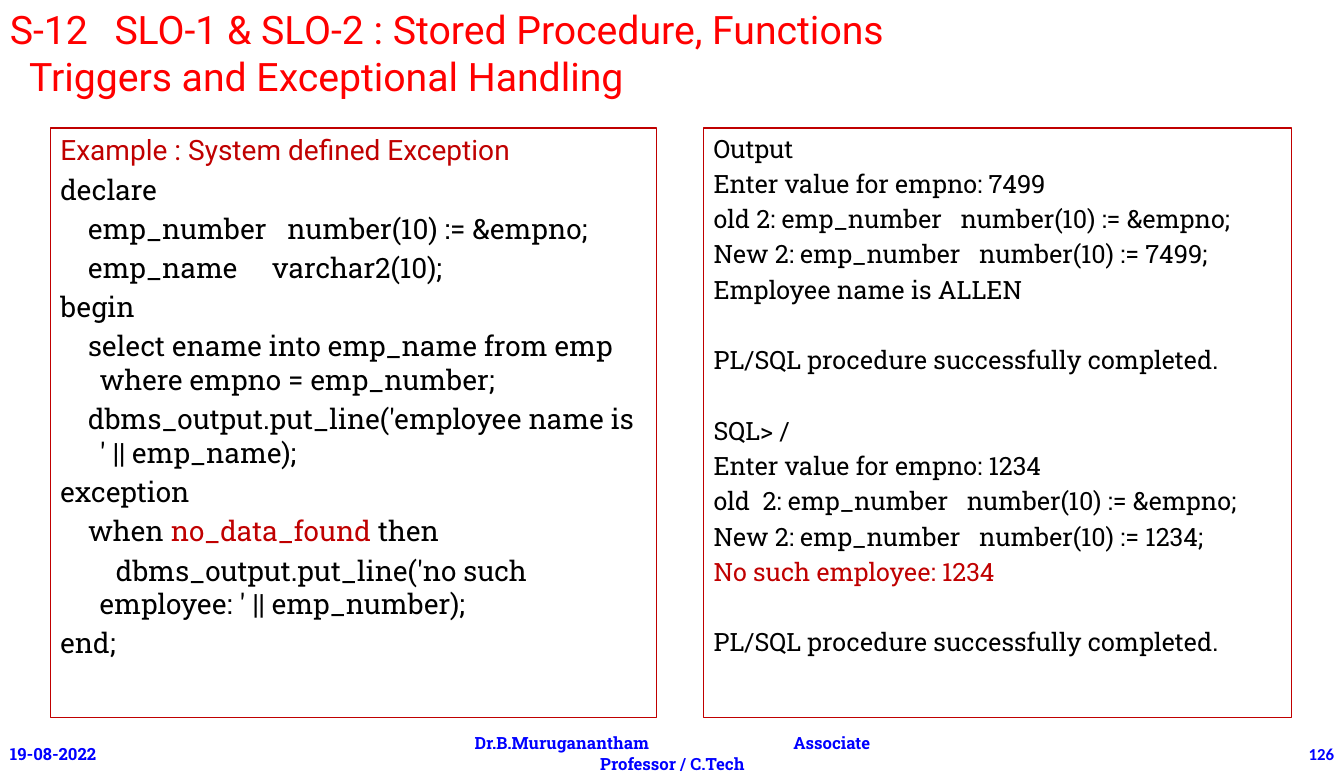
from pptx import Presentation
from pptx.dml.color import RGBColor as RGB
from pptx.enum.shapes import MSO_SHAPE as Shape
from pptx.enum.text import MSO_ANCHOR as Anchor, PP_ALIGN as Align
from pptx.util import Inches, Pt

RED = RGB(0xFF, 0, 0)
WINE = RGB(0xC0, 0, 0)
BLUE = RGB(0, 0, 0xFF)
BLACK = RGB(0, 0, 0)
WHITE = RGB(0xFF, 0xFF, 0xFF)
SANS, SLAB = "Roboto", "Roboto Slab"
WIDE, HIGH = 13.33, 7.68
TOP, TALL = 1.27, 5.85
FOOT = 0.41
HANG = 0.39

deck = Presentation()
deck.slide_width, deck.slide_height = Inches(WIDE), Inches(HIGH)
slide = deck.slides.add_slide(deck.slide_layouts[6])


def panel(left, top, width, height, edge=None, anchor=Anchor.TOP):
    box = slide.shapes.add_shape(Shape.RECTANGLE, *map(Inches, (left, top, width, height)))
    box.shadow.inherit = False
    if edge:
        box.fill.background()
        box.line.color.rgb, box.line.width = edge, Pt(0.75)
    else:
        box.fill.solid()
        box.fill.fore_color.rgb = WHITE
        box.line.fill.background()
    frame = box.text_frame
    frame.word_wrap, frame.vertical_anchor = True, anchor
    return frame


def write(text, frame, size=20, ink=BLACK, face=SLAB, bold=False,
          align=Align.LEFT, gap=0, left=0, hang=0, track=0, join=False):
    para = frame.paragraphs[-1]
    if not join:
        if para.runs:
            para = frame.add_paragraph()
            para.space_before = Pt(gap)
        para.alignment = align
        props = para._p.get_or_add_pPr()
        props.set("marL", str(Inches(left)))
        props.set("indent", str(Inches(-hang)))
    run = para.add_run()
    run.text = text
    font = run.font
    font.size, font.name, font.bold = Pt(size), face, bold
    font.color.rgb = ink
    if track:
        run._r.get_or_add_rPr().set("spc", str(track * 100))


title = slide.shapes.add_textbox(0, 0, Inches(12.45), Inches(1.04)).text_frame
title.word_wrap = True
head = dict(size=28, ink=RED, face=SANS)
write("S-12", title, **head)
write(" ", title, track=12, join=True, **head)
write("SLO-1 & SLO-2 : Stored Procedure, Functions", title, join=True, **head)
write("Triggers and Exceptional Handling", title, left=0.19, **head)

code = panel(0.5, TOP, 6.01, TALL, edge=WINE)
write("Example : System defined Exception", code, ink=WINE, face=SANS, left=HANG, hang=HANG)
for line in (
    "declare",
    "    emp_number   number(10) := &empno;",
    "    emp_name     varchar2(10);",
    "begin",
    "    select ename into emp_name from emp where empno = emp_number;",
    "    dbms_output.put_line('employee name is ' || emp_name);",
    "exception",
    "    when ",
    "        dbms_output.put_line('no such employee: ' || emp_number);",
    "end;",
):
    write(line, code, gap=4, left=HANG, hang=HANG)
    if line.endswith("when "):
        write("no_data_found", code, ink=WINE, join=True)
        write(" then", code, join=True)

result = panel(6.98, TOP, 5.83, TALL, edge=WINE)
NEAR, FAR = 3.6, 28.8
for line, gap, ink in (
    ("Output", 0, BLACK),
    ("Enter value for empno: 7499", NEAR, BLACK),
    ("old 2: emp_number   number(10) := &empno;", NEAR, BLACK),
    ("New 2: emp_number   number(10) := 7499;", NEAR, BLACK),
    ("Employee name is ALLEN", NEAR, BLACK),
    ("PL/SQL procedure successfully completed.", FAR, BLACK),
    ("SQL> /", FAR, BLACK),
    ("Enter value for empno: 1234", NEAR, BLACK),
    ("old  2: emp_number   number(10) := &empno;", NEAR, BLACK),
    ("New 2: emp_number   number(10) := 1234;", NEAR, BLACK),
    ("No such employee: 1234", NEAR, WINE),
    ("PL/SQL procedure successfully completed.", FAR, BLACK),
):
    write(line, result, size=18, ink=ink, gap=gap, left=HANG, hang=HANG)

SIDE = 4.42
date, name, page = (
    panel(left, HIGH - FOOT, width, FOOT, anchor=Anchor.MIDDLE)
    for left, width in ((0, SIDE), (SIDE, 4.5), (WIDE - SIDE, SIDE))
)
style = dict(size=12, ink=BLUE, bold=True)
write("19-08-2022", date, **style)
write("Dr.B.Muruganantham", name, align=Align.CENTER, **style)
write(" ", name, track=100, join=True, **style)
write("Associate Professor / C.Tech", name, join=True, **style)
write("126", page, face="Calibri", align=Align.RIGHT, **style)

deck.save("out.pptx")
